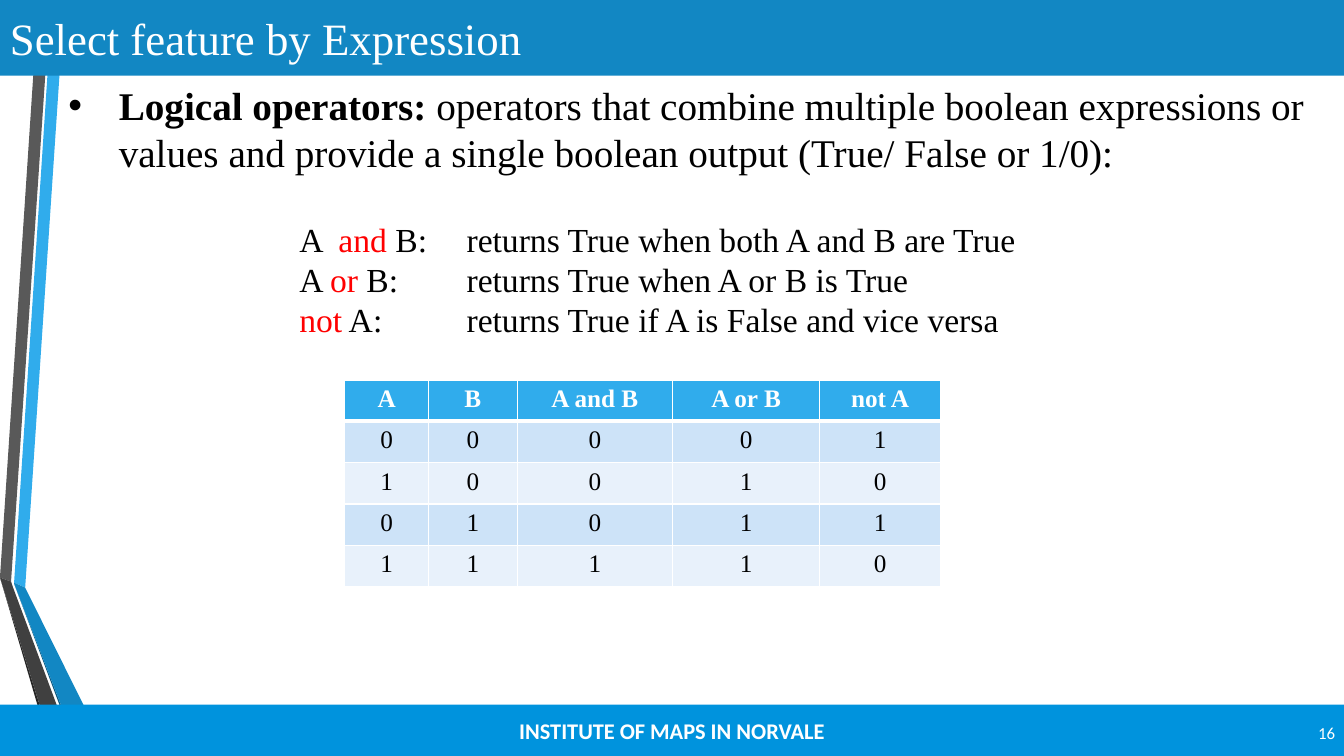
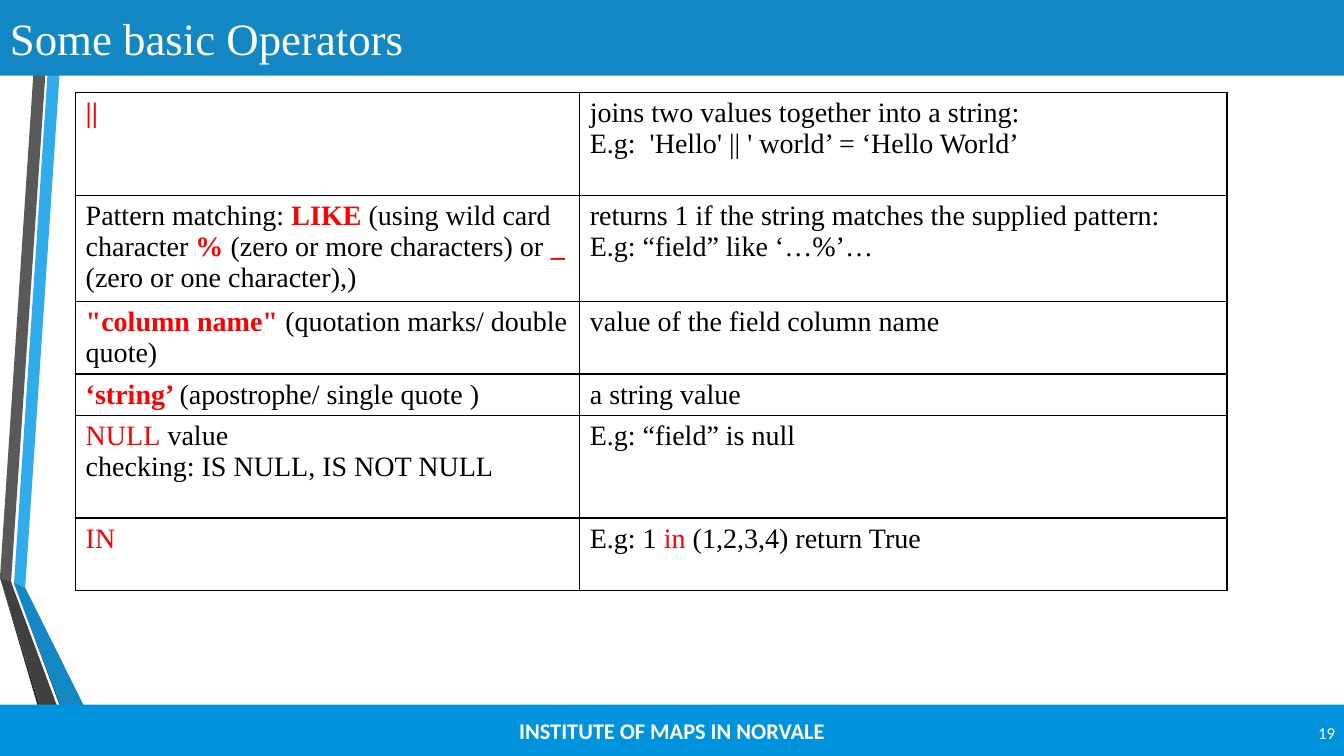
from lxml.etree import SubElement
from pptx import Presentation
from pptx.dml.color import RGBColor
from pptx.enum.shapes import MSO_SHAPE
from pptx.enum.text import MSO_ANCHOR as Anchor, PP_ALIGN as Align
from pptx.oxml import parse_xml
from pptx.oxml.ns import nsdecls, qn
from pptx.util import Inches, Pt

COLORS = {
    "white": "FFFFFF", "black": "000000", "red": "FF0000",
    "sky": "30ACEC", "blue": "1287C3", "navy": "0C5A82", "footer": "0093DD",
    "gray": "595959", "charcoal": "404040", "ink": "262626",
    "band_dark": "CDE3F8", "band_light": "E8F1FB",
}
SERIF, SANS = "Times New Roman", "Calibri"
WIDTH, HEIGHT = 13.33, 7.5
FOOTER = "INSTITUTE OF MAPS IN NORVALE"

# Side ribbon, back to front: colour and outline in inches
RIBBON = [
    ("sky", [(0.14, 5.78), (0.25, 5.83), (0.64, 0), (0.52, 0)]),
    ("gray", [(0.5, 0), (0.38, 0), (0, 5.73), (0.11, 5.77)]),
    ("ink", [(0, 5.73), (0.52, 7.5), (0.55, 7.5)]),
    ("navy", [(0.14, 5.79), (0.78, 7.5), (0.8, 7.5)]),
    ("blue", [(0.14, 5.79), (0.8, 7.5), (1.08, 7.5), (0.25, 5.83), (0.14, 5.78)]),
    ("charcoal", [(0.75, 7.5), (0.13, 5.83), (0.11, 5.77), (0, 5.73), (0.55, 7.5)]),
]

# Text is a list of paragraphs, a paragraph a list of spans:
# a plain string, or (string, emphasis)
EMPHASIS = {"bold": (None, True), "red": ("red", False), "key": ("red", True)}

DEFINITION = [[
    ("Logical operators: ", "bold"),
    "operators that combine multiple boolean expressions or values and provide "
    "a single boolean output (True/ False or 1/0):",
]]
LOGIC_RULES = [
    ["A  ", ("and", "red"), " B:\treturns True when both A and B are True"],
    ["A ", ("or", "red"), " B:\treturns True when A or B is True"],
    [("not", "red"), " A:\treturns True if A is False and vice versa"],
]
TRUTH_TABLE = [
    ["A", "B", "A and B", "A or B", "not A"],
    ["0", "0", "0", "0", "1"],
    ["1", "0", "0", "1", "0"],
    ["0", "1", "0", "1", "1"],
    ["1", "1", "1", "1", "0"],
]
TRUTH_COLUMNS = [0.83, 0.88, 1.54, 1.46, 1.2]
TRUTH_ROW = 0.41

# Row height, operator, meaning
OPERATORS = [
    (1.02, [[("||", "key")]],
     [["joins two values together into a string:"],
      ["E.g:  'Hello' || ' world’ = ‘Hello World’"]]),
    (1.03, [["Pattern matching: ", ("LIKE", "key"), " (using wild card character ",
             ("%", "key"), " (zero or more characters) or ", ("_", "key"),
             " (zero or one character),)"]],
     [["returns 1 if the string matches the supplied pattern:"],
      ["E.g: “field” like ‘…%’…"]]),
    (0.72, [[('"column name" ', "key"), "(quotation marks/ double quote)"]],
     [["value of the field column name"]]),
    (0.41, [[("‘string’ ", "key"), "(apostrophe/ single quote )"]],
     [["a string value"]]),
    (1.02, [[("NULL", "red"), " value"], ["checking: IS NULL, IS NOT NULL"]],
     [["E.g: “field” is null"]]),
    (0.72, [[("IN", "red")]],
     [["E.g: 1 ", ("in", "red"), " (1,2,3,4) return True"]]),
]
OPERATOR_COLUMNS = [5, 6.42]


def rgb(name):
    return RGBColor.from_string(COLORS[name])


def write(frame, paragraphs, size, color="black", font=SERIF, bold=False, align=Align.LEFT):
    for number, spans in enumerate(paragraphs):
        para = frame.add_paragraph() if number else frame.paragraphs[0]
        para.alignment = align
        for part in spans:
            text, emphasis = (part, None) if isinstance(part, str) else part
            span_color, span_bold = EMPHASIS.get(emphasis, (None, bold))
            span = para.add_run()
            span.text = text
            span.font.name = font
            span.font.size = Pt(size)
            span.font.bold = span_bold
            span.font.color.rgb = rgb(span_color or color)
        ending = SubElement(para._p, qn("a:endParaRPr"), sz=str(size * 100))
        SubElement(ending, qn("a:latin"), typeface=font)


def paint(shape, color):
    shape.shadow.inherit = False
    shape.fill.solid()
    shape.fill.fore_color.rgb = rgb(color)
    shape.line.fill.background()


def add_band(page, top, height, color):
    band = page.shapes.add_shape(
        MSO_SHAPE.RECTANGLE, 0, Inches(top), Inches(WIDTH), Inches(height))
    paint(band, color)
    band.text_frame.vertical_anchor = Anchor.MIDDLE
    return band.text_frame


def add_text(page, left, top, width, height, paragraphs, size, **style):
    box = page.shapes.add_textbox(*map(Inches, (left, top, width, height)))
    box.text_frame.word_wrap = True
    write(box.text_frame, paragraphs, size, **style)
    return box.text_frame


def add_ribbon(page):
    for color, outline in RIBBON:
        points = [(Inches(x), Inches(y)) for x, y in outline]
        builder = page.shapes.build_freeform(*points[0])
        builder.add_line_segments(points[1:], close=True)
        paint(builder.convert_to_shape(), color)


def add_page(deck, title, number):
    """Add a slide with the shared ribbon, bands, title and page number."""
    page = deck.slides.add_slide(deck.slide_layouts[6])
    add_ribbon(page)
    footer = add_band(page, 6.99, 0.51, "footer")
    write(footer, [[FOOTER]], 16, "white", SANS, bold=True, align=Align.CENTER)
    write(add_band(page, 0, 0.75, "blue"), [[title]], 32, "white")
    corner = add_text(page, 12.67, 7.07, 0.67, 0.4, [[str(number)]], 12,
                      color="white", font=SANS, align=Align.RIGHT)
    corner.vertical_anchor = Anchor.MIDDLE
    return page


def add_bullet(para, indent):
    properties = para._p.get_or_add_pPr()
    properties.set("marL", str(Inches(indent)))
    properties.set("indent", str(-Inches(indent)))
    SubElement(properties, qn("a:buFont"), typeface="Arial")
    SubElement(properties, qn("a:buChar"), char="•")


def add_tab_stop(para, position):
    tabs = SubElement(para._p.get_or_add_pPr(), qn("a:tabLst"))
    SubElement(tabs, qn("a:tab"), pos=str(Inches(position)), algn="l")


def set_borders(cell, color, top=1, bottom=1):
    properties = cell._tc.get_or_add_tcPr()
    for place, (side, width) in enumerate(zip("LRTB", (1, 1, top, bottom))):
        properties.insert(place, parse_xml(
            f'<a:ln{side} {nsdecls("a")} w="{Pt(width)}"><a:solidFill>'
            f'<a:srgbClr val="{COLORS[color]}"/></a:solidFill></a:ln{side}>'))


def add_grid(page, left, top, columns, rows):
    """Add an unstyled table with the given column widths and row heights."""
    table = page.shapes.add_table(
        len(rows), len(columns), Inches(left), Inches(top),
        Inches(sum(columns)), Inches(sum(rows))).table
    table.first_row = table.horz_banding = False
    for column, width in zip(table.columns, columns):
        column.width = Inches(width)
    for row, height in zip(table.rows, rows):
        row.height = Inches(height)
    for cell in table.iter_cells():
        cell.margin_bottom = 0
    return table


def add_truth_table(page):
    table = add_grid(page, 3.42, 3.77, TRUTH_COLUMNS, [TRUTH_ROW] * len(TRUTH_TABLE))
    for i, values in enumerate(TRUTH_TABLE):
        header = i == 0
        fill = "sky" if header else ("band_light", "band_dark")[i % 2]
        for j, value in enumerate(values):
            cell = table.cell(i, j)
            cell.fill.solid()
            cell.fill.fore_color.rgb = rgb(fill)
            set_borders(cell, "white", top=3 if i == 1 else 1, bottom=3 if header else 1)
            write(cell.text_frame, [[value]], 18, "white" if header else "black",
                  bold=header, align=Align.CENTER)


def add_operator_table(page):
    heights = [height for height, *_ in OPERATORS]
    table = add_grid(page, 0.75, 0.92, OPERATOR_COLUMNS, heights)
    for i, (_, *texts) in enumerate(OPERATORS):
        for j, paragraphs in enumerate(texts):
            cell = table.cell(i, j)
            cell.fill.background()
            set_borders(cell, "black")
            write(cell.text_frame, paragraphs, 20)


def main():
    deck = Presentation()
    deck.slide_width, deck.slide_height = Inches(WIDTH), Inches(HEIGHT)

    page = add_page(deck, "Select feature by Expression", 16)
    definition = add_text(page, 0.58, 0.76, 12.74, 1.51, DEFINITION, 28)
    add_bullet(definition.paragraphs[0], 0.5)
    rules = add_text(page, 2.87, 2.12, 8.17, 1.31, LOGIC_RULES, 24)
    for para in rules.paragraphs:
        add_tab_stop(para, 1.66)
    add_truth_table(page)

    page = add_page(deck, "Some basic Operators", 19)
    add_operator_table(page)

    deck.save("out.pptx")


if __name__ == "__main__":
    main()
